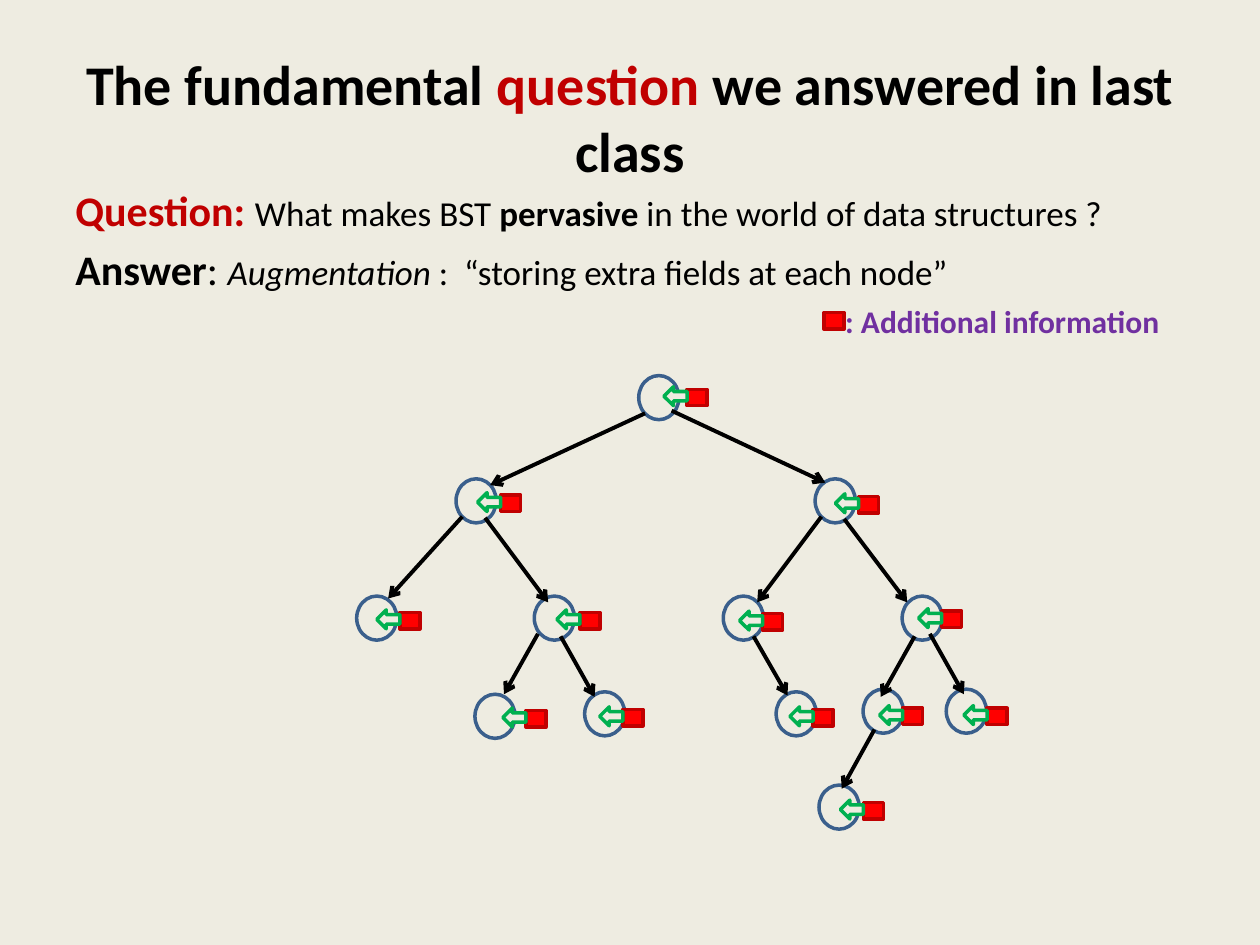
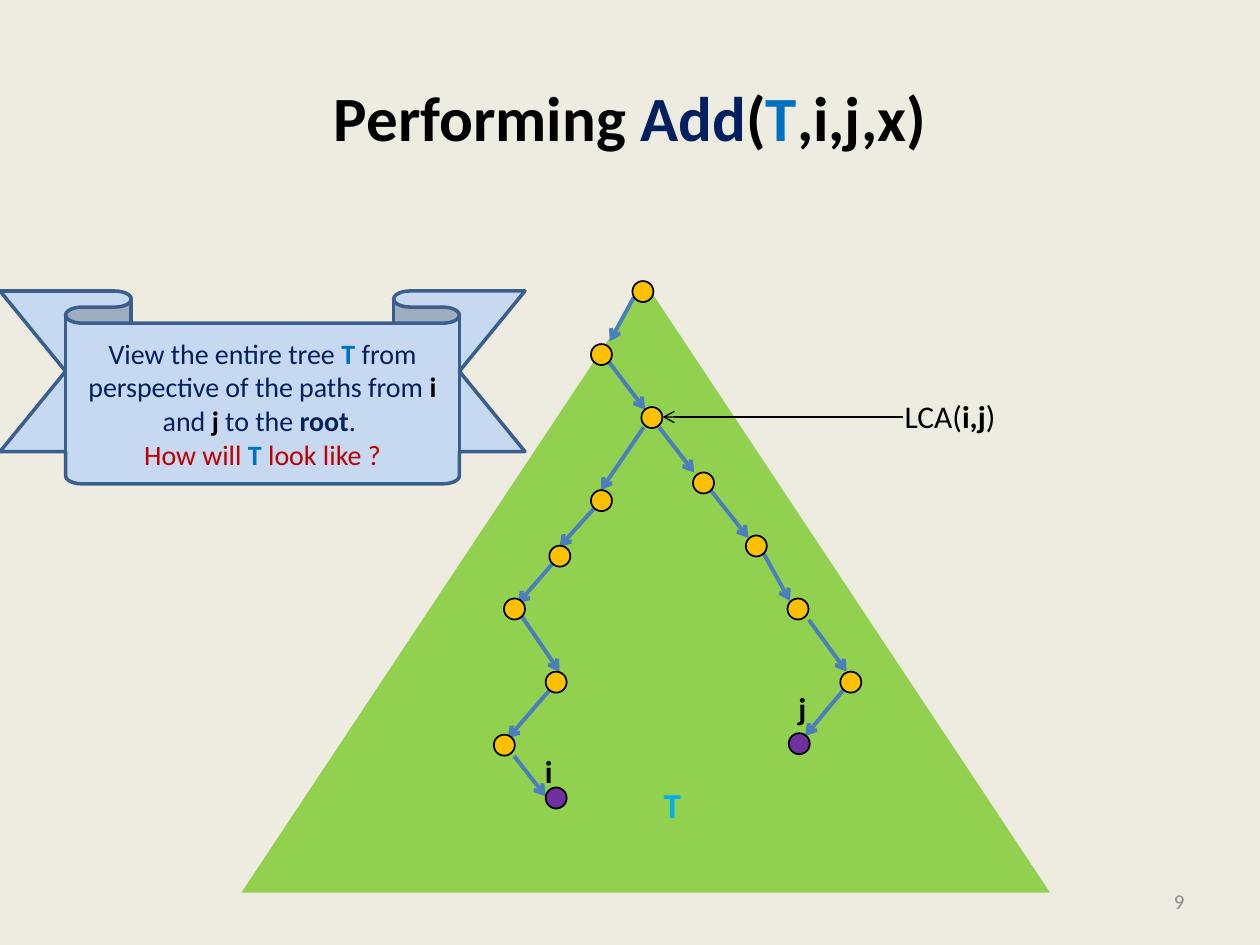
from dataclasses import dataclass

from lxml import etree
from pptx import Presentation
from pptx.dml.color import RGBColor
from pptx.enum.shapes import MSO_CONNECTOR, MSO_SHAPE
from pptx.enum.text import MSO_ANCHOR, MSO_AUTO_SIZE, PP_ALIGN
from pptx.oxml.ns import qn
from pptx.util import Pt

OVAL, RECTANGLE = MSO_SHAPE.OVAL, MSO_SHAPE.RECTANGLE
RIGHT_ARROW, TRIANGLE = MSO_SHAPE.RIGHT_ARROW, MSO_SHAPE.ISOSCELES_TRIANGLE
RIBBON = MSO_SHAPE.DOWN_RIBBON
STRAIGHT = MSO_CONNECTOR.STRAIGHT
LEFT, CENTER, RIGHT = PP_ALIGN.LEFT, PP_ALIGN.CENTER, PP_ALIGN.RIGHT
TOP, MIDDLE = MSO_ANCHOR.TOP, MSO_ANCHOR.MIDDLE
FIT_TEXT = MSO_AUTO_SIZE.SHAPE_TO_FIT_TEXT


@dataclass(frozen=True)
class Theme:
    font: str = "Calibri"
    background: str = "EEECE1"
    black: str = "000000"
    crimson: str = "C00000"
    red: str = "FF0000"
    green: str = "00B050"
    leaf: str = "92D050"
    amber: str = "FFC000"
    purple: str = "7030A0"
    navy: str = "002060"
    blue: str = "0070C0"
    sky: str = "00B0F0"
    pale_blue: str = "C6D9F1"
    steel: str = "3A5F8C"
    edge_blue: str = "4B7EBC"
    gray: str = "8C8C8C"
    long_title: int = 32
    title: int = 36
    heading: int = 24
    body: int = 20
    label: int = 18
    callout: int = 16
    footer: int = 12


class Deck:
    """Holds the theme and the slide being drawn; all lengths are points."""

    def __init__(self, theme):
        self.theme = theme
        self.presentation = Presentation()
        self.presentation.slide_width = Pt(720)
        self.presentation.slide_height = Pt(540)
        self.slide = None

    def new_slide(self):
        self.slide = self.presentation.slides.add_slide(self.presentation.slide_layouts[6])
        fill = self.slide.background.fill
        fill.solid()
        fill.fore_color.rgb = RGBColor.from_string(self.theme.background)

    def style(self, font, size=None, color=None, bold=None, italic=None):
        if size is not None:
            font.size = Pt(size)
        if color is not None:
            font.color.rgb = RGBColor.from_string(color)
        if bold is not None:
            font.bold = bold
        if italic is not None:
            font.italic = italic

    def fill_text(self, frame, paragraphs, align=LEFT, anchor=TOP, space=0, **base):
        """Each paragraph is a list of runs: a string, or (string, overrides)."""
        frame.vertical_anchor = anchor
        for index, runs in enumerate(paragraphs):
            paragraph = frame.add_paragraph() if index else frame.paragraphs[0]
            paragraph.alignment = align
            paragraph.space_before = Pt(space)
            paragraph.font.name = self.theme.font
            self.style(paragraph.font, **base)
            for item in runs:
                words, overrides = (item, {}) if isinstance(item, str) else item
                run = paragraph.add_run()
                run.text = words
                self.style(run.font, **overrides)

    def text(self, box, paragraphs, wrap=True, **options):
        frame = self.slide.shapes.add_textbox(*map(Pt, box)).text_frame
        frame.word_wrap = wrap
        if not wrap:
            frame.auto_size = FIT_TEXT
        self.fill_text(frame, paragraphs, **options)

    def title(self, runs, size):
        self.text((36, 21.6, 648, 90), [runs], align=CENTER, anchor=MIDDLE,
                  size=size, color=self.theme.black, bold=True)

    def label(self, box, runs, size=None, **options):
        self.text(box, [runs], wrap=False, size=size or self.theme.label, **options)

    def shape(self, kind, box, fill, line=None, width=2.0):
        shape = self.slide.shapes.add_shape(kind, *map(Pt, box))
        shape.shadow.inherit = False
        shape.fill.solid()
        shape.fill.fore_color.rgb = RGBColor.from_string(fill)
        if line:
            shape.line.color.rgb = RGBColor.from_string(line)
            shape.line.width = Pt(width)
        else:
            shape.line.fill.background()
        return shape

    def arrow(self, start, end, color, width=2.25):
        connector = self.slide.shapes.add_connector(STRAIGHT, *map(Pt, start + end))
        connector.line.color.rgb = RGBColor.from_string(color)
        connector.line.width = Pt(width)
        properties = connector.element.spPr
        etree.SubElement(properties.find(qn("a:ln")), qn("a:tailEnd"), type="arrow")
        etree.SubElement(properties, qn("a:effectLst"))

    def arrows(self, segments, color):
        for x1, y1, x2, y2 in segments:
            self.arrow((x1, y1), (x2, y2), color)

    def info_box(self, left, top):
        self.shape(RECTANGLE, (left, top, 11.5, 9.4), self.theme.red, self.theme.crimson)

    def tag(self, left, top):
        """A red information box with a green arrow pointing left into its node."""
        self.info_box(left + 13.2, top + 1.5)
        pointer = self.shape(RIGHT_ARROW, (left, top, 13.2, 10.8),
                             self.theme.background, self.theme.green)
        pointer.rotation = 180

    def dot(self, left, top, fill):
        self.shape(OVAL, (left, top, 12, 12), fill, self.theme.black, 1)


# Binary search tree: node left and top, then tag left and top
BST_NODES = [
    (365, 214.6, 379.4, 221),
    (260.6, 273.6, 272.9, 281.5), (465.8, 273.6, 477.4, 282.2),
    (203.8, 340.6, 215.3, 348.5), (305.3, 340.6, 318.2, 348.5),
    (413.3, 340.6, 422.6, 349.2), (515.5, 340.6, 524.9, 347.8),
    (271.4, 396.7, 287.3, 404.6), (334.1, 395.3, 342.7, 403.9),
    (443.5, 395.3, 451.4, 403.9), (493.2, 393.8, 502.6, 403.2),
    (540.7, 393.8, 550.8, 403.2), (468, 448.6, 480.2, 457.2),
]
BST_EDGES = [
    (368.6, 236.2, 280.1, 277.2), (383.8, 234.7, 471.6, 275.8),
    (264.2, 295.2, 221.8, 342), (277.2, 295.9, 313.2, 344.2),
    (469.4, 295.2, 432.7, 344.2), (482.4, 296.6, 518.4, 344.2),
    (307.4, 362.2, 288, 396.7), (320.4, 363.6, 339.8, 398.2),
    (430.6, 363.6, 450, 397.4), (522.7, 363.6, 503.3, 398.2),
    (531.4, 362.2, 550.8, 396.7), (499.7, 416.9, 481, 450.7),
]

# Paths from the root to i and from the common ancestor to j
PATH_TO_I = [
    (361.4, 160.6), (337.7, 196.6), (366.5, 232.6), (337.7, 280.1), (313.9, 311.8),
    (288, 342), (311.8, 383.8), (282.2, 419.8), (311.8, 450),
]
PATH_TO_J = [(396, 270), (426.2, 306), (450, 342), (480.2, 383.8), (450.7, 419)]
PATH_EDGES = [
    (362.2, 169.9, 348.5, 195.1), (347.8, 206.6, 368.6, 234),
    (367.9, 244.1, 343.4, 280.1), (339.8, 290.2, 319.7, 312.5),
    (315.4, 322.6, 295.9, 344.9), (298.1, 352.1, 319.7, 383.8),
    (313.9, 394.6, 290.2, 421.9), (293.8, 432, 311.8, 455),
    (376.6, 244.1, 396.7, 270), (406.1, 280.1, 427.7, 307.4),
    (436.3, 316.1, 451.4, 343.4), (462.2, 354.2, 483.8, 383.8),
    (481.7, 394.6, 460.1, 420.5),
]


def build_question_slide(deck):
    theme = deck.theme
    deck.new_slide()
    deck.title(["The fundamental ", ("question ", {"color": theme.crimson}),
                "we answered in last class"], theme.long_title)

    # Question and answer
    heading = {"size": theme.heading, "bold": True}
    deck.text((36, 102.2, 648, 380), [
        [("Question: ", {**heading, "color": theme.crimson}), "What makes BST ",
         ("pervasive", {"bold": True}), " in the world of data structures ?"],
        [("Answer", heading), (": ", {"size": theme.heading}),
         ("Augmentation", {"italic": True}),
         " :  “storing extra fields at each node”"],
    ], space=4.8, size=theme.body, color=theme.black)

    # Tree with an extra field at each node
    for left, top, _, _ in BST_NODES:
        deck.shape(OVAL, (left, top, 23, 25.2), theme.background, theme.steel)
    deck.arrows(BST_EDGES, theme.black)
    for _, _, left, top in BST_NODES:
        deck.tag(left, top)

    # Legend
    deck.label((475.9, 169.2, 195.8, 29), [": Additional information"],
               color=theme.purple, bold=True)
    deck.info_box(470.9, 178.6)


def build_add_slide(deck):
    theme = deck.theme
    strong = {"bold": True}
    tree_name = ("T", {"color": theme.blue, "bold": True})
    deck.new_slide()
    deck.title(["Performing ", ("Add", {"color": theme.navy}), "(", tree_name,
                ",i,j,x)"], theme.title)
    deck.text((516.2, 500.4, 167.8, 28.8), [["9"]], align=RIGHT, anchor=MIDDLE,
              size=theme.footer, color=theme.gray)

    # Tree outline
    deck.shape(TRIANGLE, (138, 162, 462, 348), theme.leaf)
    deck.label((372.2, 444.2, 24.5, 31.7), ["T"], theme.body, color=theme.sky, bold=True)

    # Ribbon with the question
    ribbon = deck.shape(RIBBON, (0, 166.3, 300, 110.2), theme.pale_blue, theme.steel)
    ribbon.adjustments[0], ribbon.adjustments[1] = 0.167, 0.75
    index = {"color": theme.black, "bold": True}
    asking = {"color": theme.crimson}
    deck.fill_text(ribbon.text_frame, [
        ["View the entire tree ", tree_name, " from perspective of the paths from ",
         ("i", index), " and ", ("j ", index), "to the ", ("root", strong), ". "],
        [("How will ", asking), tree_name, (" look like ?", asking)],
    ], align=CENTER, anchor=MIDDLE, size=theme.callout, color=theme.navy)

    # Paths, each ending in a purple node
    deck.arrows(PATH_EDGES, theme.edge_blue)
    for route in (PATH_TO_I, PATH_TO_J):
        for node in route[:-1]:
            deck.dot(*node, theme.amber)
        deck.dot(*route[-1], theme.purple)
    for name, left, top in ((" i", 300.2, 426.2), (" j", 445, 390.2)):
        deck.label((left, top, 23, 29), [name], color=theme.black, bold=True)

    # Lowest common ancestor
    deck.arrow((516.2, 238.3), (378.7, 238.3), theme.black, 0.75)
    deck.label((509.8, 223.2, 67, 29), ["LCA(", ("i,j", strong), ")"], color=theme.black)


def main():
    deck = Deck(Theme())
    build_question_slide(deck)
    build_add_slide(deck)
    deck.presentation.save("out.pptx")


if __name__ == "__main__":
    main()
